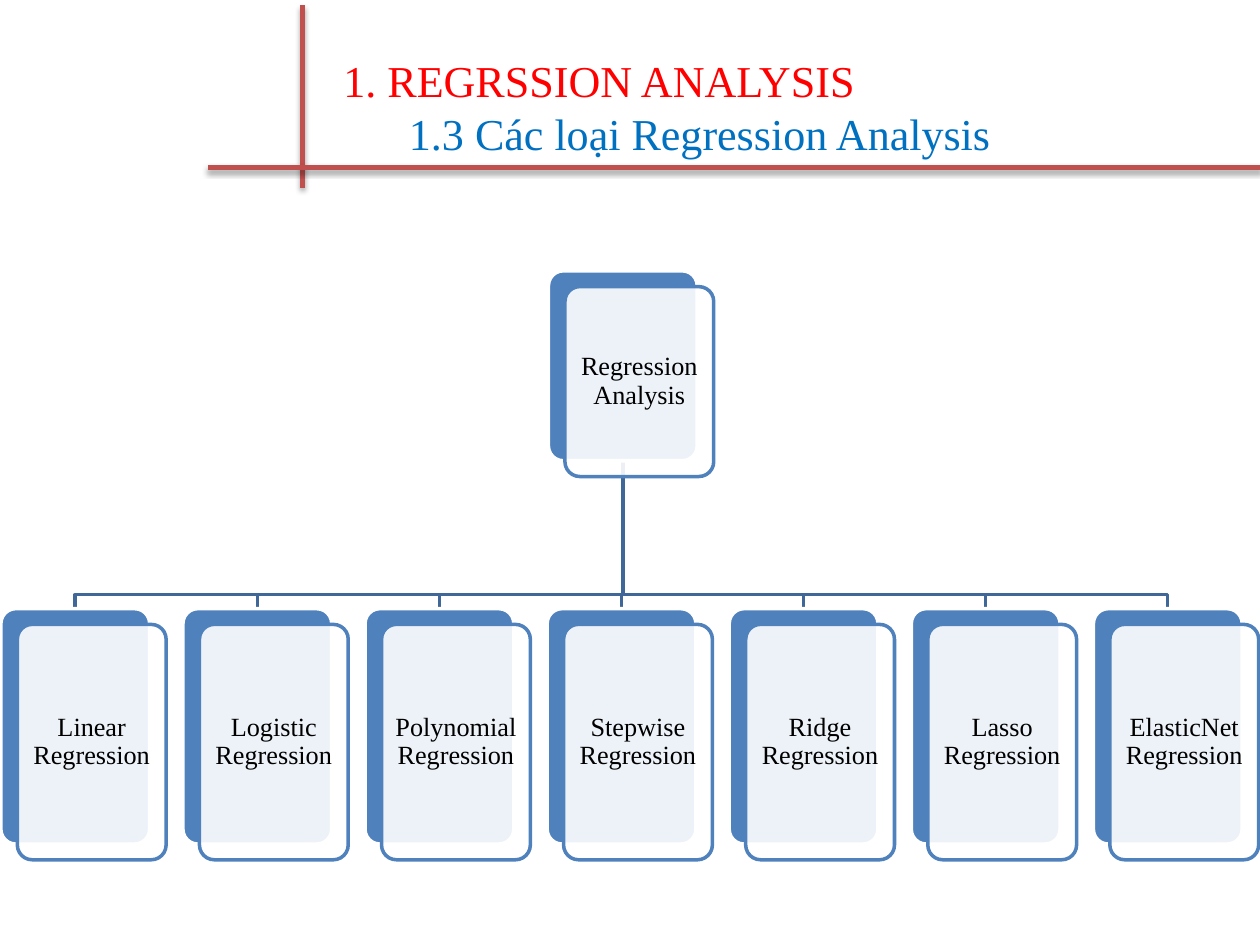
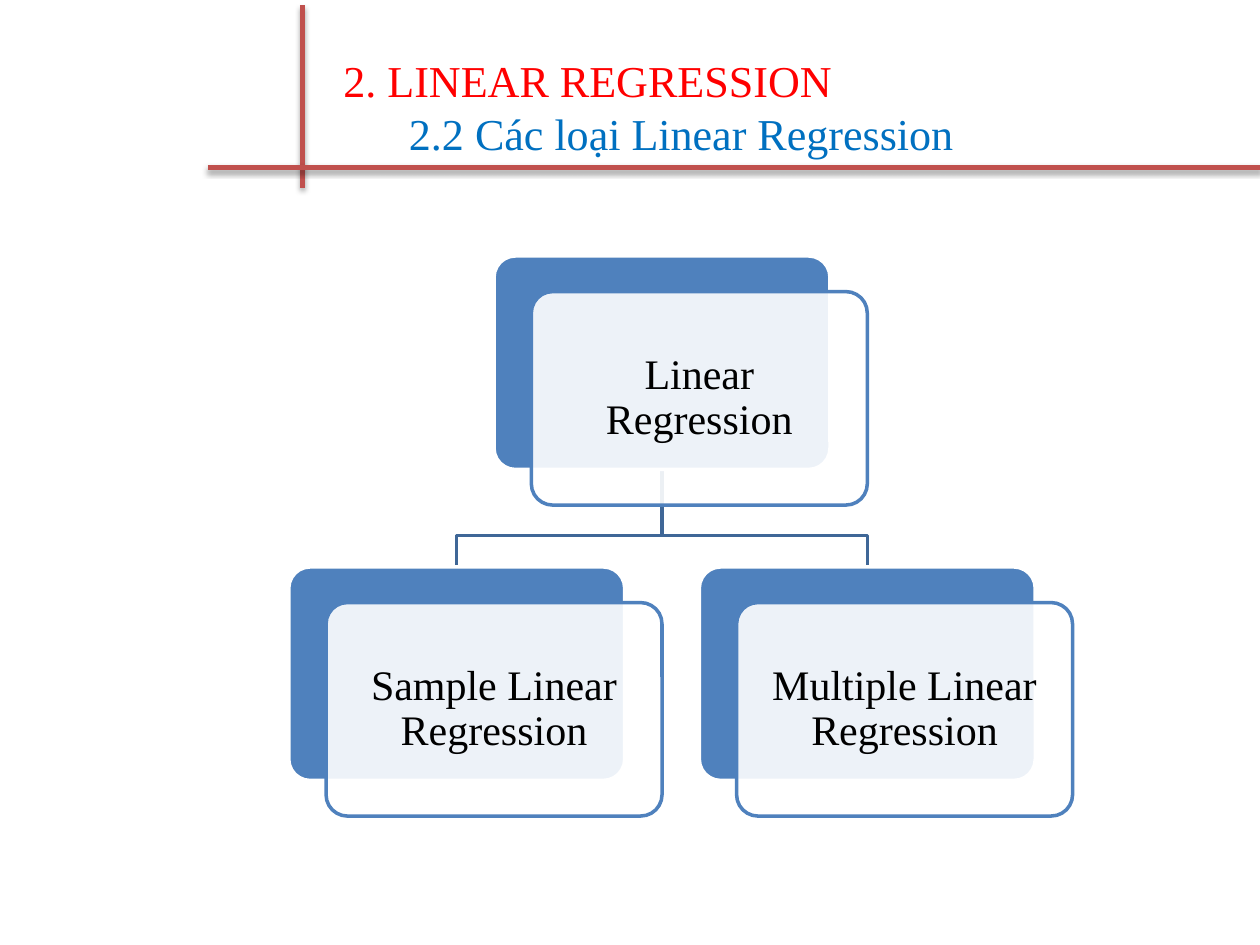
import pptx
import pptx.util
import pptx.dml.color
import pptx.enum.shapes
import pptx.enum.text
import pptx.oxml.ns
from lxml import etree

Pt = pptx.util.Pt
qn = pptx.oxml.ns.qn
ALIGN = pptx.enum.text.PP_ALIGN
ANCHOR = pptx.enum.text.MSO_ANCHOR

FONT = "Times New Roman"
COLORS = {
    "rule": "C0504D", "chapter": "FF0000", "section": "0070C0",
    "card": "4F81BD", "branch": "3F6797", "paper": "FFFFFF", "ink": "000000",
}
TITLE_SIZE = 25.2
TITLE_FRAME = {"vertical_anchor": ANCHOR.MIDDLE, "margin_top": 0, "margin_bottom": 0,
               "auto_size": pptx.enum.text.MSO_AUTO_SIZE.NONE, "word_wrap": True}
TITLE_PARAGRAPH = {"alignment": ALIGN.LEFT, "line_spacing": Pt(30),
                   "space_before": 0, "space_after": 0}
CARD_PARAGRAPH = {"alignment": ALIGN.CENTER, "line_spacing": 0.9}
RULES = [(172.8, 2.9, 172.8, 107.3), (118.8, 95.8, 720, 95.8)]
SHIFT_X, SHIFT_Y = 0.111, 0.106  # front card offset, as a share of card width


def color(name):
    return pptx.dml.color.RGBColor.from_string(COLORS[name])


def assign(target, values):
    for name, value in values.items():
        setattr(target, name, value)


class Deck:
    """Holds the shared style and the slide being filled."""

    def __init__(self):
        self.file = pptx.Presentation()
        assign(self.file, {"slide_width": Pt(720), "slide_height": Pt(540)})
        self.slide = None

    def start_slide(self, chapter, section):
        self.slide = self.file.slides.add_slide(self.file.slide_layouts[5])
        for ends in RULES:
            self.rule(*ends)
        self.heading(chapter, section)

    def heading(self, chapter, section):
        heading = self.slide.shapes.title
        assign(heading, {"left": Pt(157.5), "top": Pt(30), "width": Pt(562.5), "height": Pt(62)})
        frame = heading.text_frame
        assign(frame, TITLE_FRAME)
        frame.text = f"{chapter}\n{section}"
        for paragraph, ink, indent in zip(frame.paragraphs, ("chapter", "section"), (31.5, 69)):
            assign(paragraph, TITLE_PARAGRAPH)
            self.font(paragraph, TITLE_SIZE, ink)
            properties = paragraph.runs[0].font
            properties.bold = False
            margins = paragraph._p.get_or_add_pPr()
            margins.set("marL", str(Pt(indent)))
            margins.set("indent", "0")

    def font(self, paragraph, size, ink):
        for run in paragraph.runs:
            assign(run.font, {"name": FONT, "size": Pt(size)})
            run.font.color.rgb = color(ink)

    def stroke(self, line, ink, width=2):
        line.color.rgb = color(ink)
        line.width = Pt(width)

    def rule(self, *ends):
        """Heading line with a soft shadow below it."""
        rule = self.slide.shapes.add_connector(
            pptx.enum.shapes.MSO_CONNECTOR.STRAIGHT, *map(Pt, ends))
        self.stroke(rule.line, "rule", 3)
        effects = etree.SubElement(rule.element.spPr, qn("a:effectLst"))
        shadow = etree.SubElement(effects, qn("a:outerShdw"), {
            "blurRad": str(Pt(3.1)), "dist": str(Pt(1.8)), "dir": "5400000", "rotWithShape": "0"})
        shade = etree.SubElement(shadow, qn("a:srgbClr"), val=COLORS["ink"])
        etree.SubElement(shade, qn("a:alpha"), val="35000")

    def branch(self, start, end, drop):
        """Elbow from parent to child, turning `drop` above the child."""
        (x1, y1), (x2, y2) = start, end
        builder = self.slide.shapes.build_freeform(Pt(x1), Pt(y1))
        turn = y2 - drop
        corners = [(x1, turn), (x2, turn), (x2, y2)]
        builder.add_line_segments([(Pt(x), Pt(y)) for x, y in corners], close=False)
        elbow = builder.convert_to_shape()
        elbow.shadow.inherit = False
        elbow.fill.background()
        self.stroke(elbow.line, "branch")

    def panel(self, box, fill, outline):
        panel = self.slide.shapes.add_shape(
            pptx.enum.shapes.MSO_SHAPE.ROUNDED_RECTANGLE, *map(Pt, box))
        panel.adjustments[0] = 0.1
        panel.shadow.inherit = False
        panel.fill.solid()
        panel.fill.fore_color.rgb = color(fill)
        self.stroke(panel.line, outline)
        return panel

    def card(self, label, box, size):
        """Solid panel with a translucent, labelled panel shifted over it."""
        left, top, width, height = box
        self.panel(box, "card", "paper")
        front = self.panel((left + SHIFT_X * width, top + SHIFT_Y * width, width, height),
                           "paper", "card")
        tint = front.element.spPr.find(qn("a:solidFill"))[0]
        etree.SubElement(tint, qn("a:alpha"), val="90000")
        frame = front.text_frame
        frame.text = label
        sides = ("left", "top", "right", "bottom")
        assign(frame, {f"margin_{side}": Pt(0.3 * size) for side in sides})
        assign(frame, {"word_wrap": True, "vertical_anchor": ANCHOR.MIDDLE})
        assign(frame.paragraphs[0], CARD_PARAGRAPH)
        self.font(frame.paragraphs[0], size, "ink")

    def tree(self, root, root_box, children, first_box, step, drop, size):
        left, top, width, height = first_box
        boxes = [(left + i * step, top, width, height) for i in range(len(children))]
        trunk = (root_box[0] + root_box[2] / 2, root_box[1] + root_box[3])
        for box in reversed(boxes):
            self.branch(trunk, (box[0] + width / 2, top), drop)
        for label, box in zip([root, *children], [root_box, *boxes]):
            self.card(label, box, size)


def main():
    deck = Deck()

    deck.start_slide("1. REGRSSION ANALYSIS", "1.3 Các loại Regression Analysis")
    kinds = ["Linear", "Logistic", "Polynomial", "Stepwise", "Ridge", "Lasso", "ElasticNet"]
    deck.tree("Regression Analysis", (313.4, 154.8, 85, 108.5),
              [f"{kind} Regression" for kind in kinds], (0.5, 347.8, 85, 134.5),
              step=104.05, drop=8, size=15)

    deck.start_slide("2. LINEAR REGRESSION", "2.2 Các loại Linear Regression")
    deck.tree("Linear Regression", (282.3, 146.3, 192, 122),
              ["Sample Linear Regression", "Multiple Linear Regression"],
              (165, 324, 192, 122), step=234.6, drop=18, size=24)

    deck.file.save("out.pptx")


if __name__ == "__main__":
    main()
